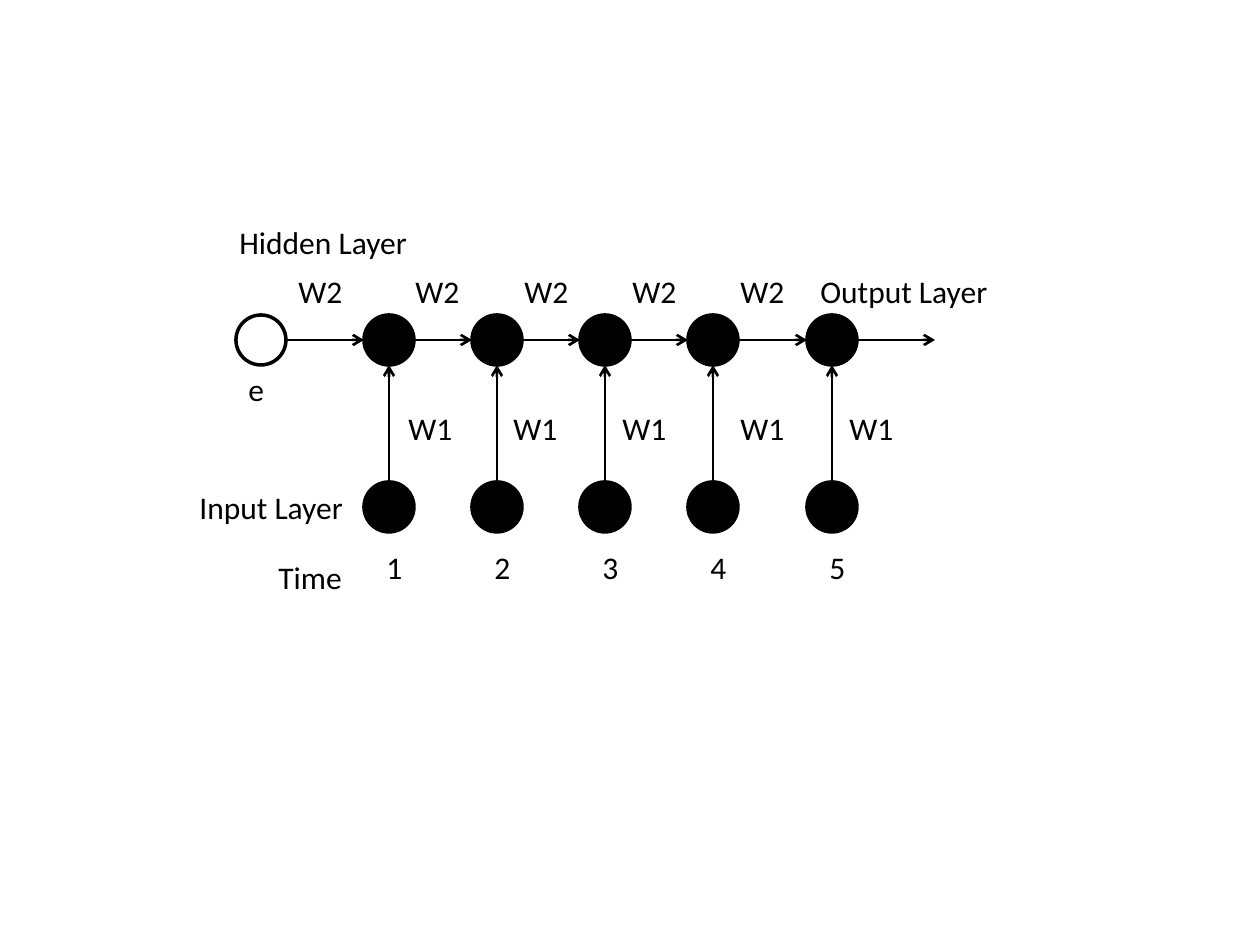
from dataclasses import dataclass

from lxml import etree
from pptx import Presentation
from pptx import util as u
from pptx.dml.color import RGBColor
from pptx.enum import shapes, text
from pptx.oxml.ns import qn

PX = 914400 // 126


@dataclass(frozen=True)
class Theme:
    """Colours, font and sizes of the diagram."""
    ink: RGBColor = RGBColor(0, 0, 0)
    paper: RGBColor = RGBColor(255, 255, 255)
    font: str = "Calibri"
    size: float = 18
    node_line: float = 2
    arrow_line: float = 1.5


def write(tf, content, font, size, color, wrap):
    """Put one left-aligned line of text in a frame."""
    tf.word_wrap = wrap
    tf.auto_size = text.MSO_AUTO_SIZE.SHAPE_TO_FIT_TEXT
    tf.vertical_anchor = text.MSO_ANCHOR.TOP
    p = tf.paragraphs[0]
    p.alignment = text.PP_ALIGN.LEFT
    r = p.add_run()
    r.text = content
    r.font.name, r.font.size = font, u.Pt(size)
    r.font.color.rgb = color


class Diagram:
    """Draws network elements on one slide, in pixels."""

    def __init__(self, s, theme):
        """Keep the slide and the style."""
        self.s, self.theme = s, theme

    def node(self, cx, cy, fill):
        """Draw a neuron centred on a point."""
        box = [v * PX for v in (cx - RADIUS, cy - RADIUS, 2 * RADIUS, 2 * RADIUS)]
        sp = self.s.shapes.add_shape(shapes.MSO_SHAPE.OVAL, *box)
        sp.shadow.inherit = False
        sp.fill.solid()
        sp.fill.fore_color.rgb = fill
        sp.line.color.rgb = self.theme.ink
        sp.line.width = u.Pt(self.theme.node_line)

    def arrow(self, x1, y1, x2, y2):
        """Draw a straight arrow to the second point."""
        ends = [v * PX for v in (x1, y1, x2, y2)]
        sp = self.s.shapes.add_connector(shapes.MSO_CONNECTOR.STRAIGHT, *ends)
        sp.line.color.rgb = self.theme.ink
        sp.line.width = u.Pt(self.theme.arrow_line)
        etree.SubElement(sp.line._get_or_add_ln(), qn("a:tailEnd"), type="arrow")
        etree.SubElement(sp._element.spPr, qn("a:effectLst"))

    def label(self, content, x, y, w, wrap=False, framed=False):
        """Write a label, optionally in a paper-coloured frame."""
        box = [v * PX for v in (x, y, w, LABEL_H)]
        if framed:
            sp = self.s.shapes.add_shape(shapes.MSO_SHAPE.RECTANGLE, *box)
            sp.shadow.inherit = False
            sp.fill.background()
            sp.line.color.rgb = self.theme.paper
            sp.line.width = u.Pt(self.theme.arrow_line)
        else:
            sp = self.s.shapes.add_textbox(*box)
        t = self.theme
        write(sp.text_frame, content, font=t.font, size=t.size, color=t.ink, wrap=wrap)


RADIUS, LABEL_H = 25, 51
HIDDEN_Y, INPUT_Y = 340, 507
START_X, END_X = 261, 935
STEPS = [389, 497, 605, 713, 832]
W1_X = [396, 501, 610, 728, 837]
W2_X = [286, 403, 512, 620, 728]

prs = Presentation()
prs.slide_width, prs.slide_height = u.Inches(10), u.Inches(7.5)
theme = Theme()
d = Diagram(prs.slides.add_slide(prs.slide_layouts[6]), theme)

for x in STEPS:
    d.node(x, HIDDEN_Y, theme.ink)
    d.node(x, INPUT_Y, theme.ink)
    d.arrow(x, INPUT_Y - RADIUS, x, HIDDEN_Y + RADIUS)
d.node(START_X, HIDDEN_Y, theme.paper)

stops = [START_X, *STEPS, END_X + RADIUS]
for x1, x2 in zip(stops, stops[1:]):
    d.arrow(x1 + RADIUS, HIDDEN_Y, x2 - RADIUS, HIDDEN_Y)

for time, (x, w1, w2) in enumerate(zip(STEPS, W1_X, W2_X), start=1):
    d.label(str(time), x - 15, 542, 41)
    d.label("W1", w1, 403, 87, wrap=True, framed=time == 2)
    d.label("W2", w2, 266, 79, wrap=True)

for content, x, y, w in [
    ("Hidden Layer", 227, 217, 195),
    ("Output Layer", 808, 266, 194),
    ("Input Layer", 187, 482, 170),
    ("Time", 266, 552, 89),
    ("e", 236, 364, 41),
]:
    d.label(content, x, y, w)

prs.save("out.pptx")
